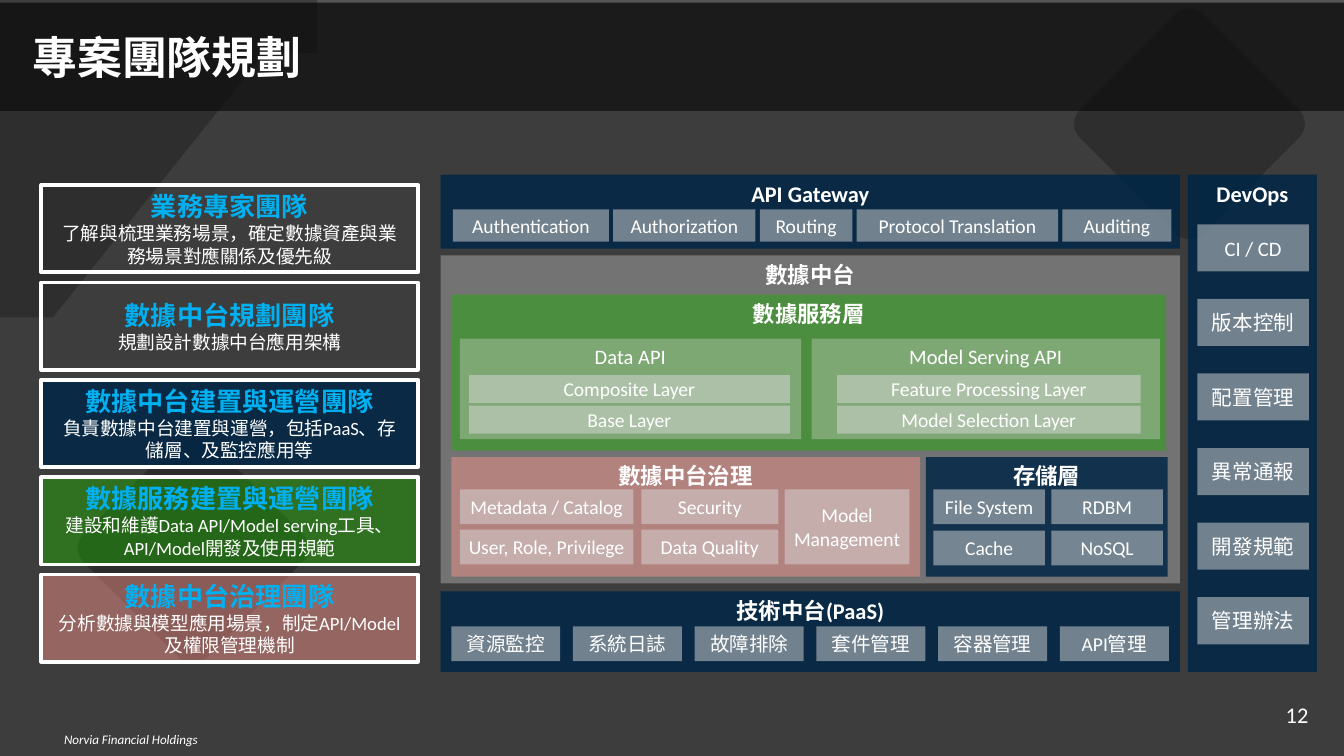
from dataclasses import dataclass

from lxml import etree
from pptx import Presentation, util as u
from pptx.dml.color import RGBColor
from pptx.enum import shapes, text
from pptx.oxml.ns import qn


@dataclass(frozen=True)
class Theme:
    """Colours, fill styles (colour, opacity in percent) and type sizes."""
    font: str = "Calibri"
    white: str = "FFFFFF"
    accent: str = "00B0F0"
    backdrop: tuple = ("0D0D0D", 80)
    band: tuple = ("0D0D0D", 70)
    diamond: tuple = ("0D0D0D", 30)
    low_diamond: tuple = ("0D0D0D", 34)
    navy: tuple = ("002646", 85)
    green: tuple = ("1EB001", 45)
    rose: tuple = ("FF968D", 45)
    grey: tuple = ("D9D9D9", 35)
    tile: tuple = ("D9D9D9", 50)
    title: float = 24
    team: float = 14
    heading: float = 12
    group: float = 11
    label: float = 10.5
    body: float = 10
    footer: float = 7


T = Theme()
TEAMS = [
    ("業務專家團隊", "了解與梳理業務場景，確定數據資產與業務場景對應關係及優先級", None),
    ("數據中台規劃團隊", "規劃設計數據中台應用架構", None),
    ("數據中台建置與運營團隊", "負責數據中台建置與運營，包括PaaS、存儲層、及監控應用等", T.navy),
    ("數據服務建置與運營團隊", "建設和維護Data API/Model serving工具、API/Model開發及使用規範", T.green),
    ("數據中台治理團隊", "分析數據與模型應用場景，制定API/Model及權限管理機制", T.rose),
]


def add_text(tf, content, size=T.label, bold=False, italic=False,
             color=T.white, align=text.PP_ALIGN.CENTER):
    """Write one paragraph, filling the first one if it is still empty."""
    p = tf.paragraphs[0] if not tf.text else tf.add_paragraph()
    p.alignment = align
    r = p.add_run()
    r.text = content
    r.font.name, r.font.size = T.font, u.Pt(size)
    r.font.bold, r.font.italic = bold, italic
    r.font.color.rgb = RGBColor.from_string(color)


def paint(sp, style):
    """Give a shape a flat translucent fill, or none, without line or shadow."""
    sp.shadow.inherit = False
    sp.line.fill.background()
    if style is None:
        sp.fill.background()
        return
    color, opacity = style
    sp.fill.solid()
    sp.fill.fore_color.rgb = RGBColor.from_string(color)
    clr = sp._element.spPr.find(qn("a:solidFill"))[0]
    etree.SubElement(clr, qn("a:alpha")).set("val", str(opacity * 1000))


def add_box(s, x, y, w, h, style, kind=shapes.MSO_SHAPE.RECTANGLE):
    """Add a painted shape with wrapped, vertically centred text."""
    sp = s.shapes.add_shape(kind, u.Cm(x), u.Cm(y), u.Cm(w), u.Cm(h))
    paint(sp, style)
    sp.text_frame.word_wrap = True
    sp.text_frame.vertical_anchor = text.MSO_ANCHOR.MIDDLE
    return sp


def add_panel(s, content, x, y, w, h, style, size=T.heading, bold=True):
    """Add a container whose heading sits at the top."""
    tf = add_box(s, x, y, w, h, style).text_frame
    tf.vertical_anchor = text.MSO_ANCHOR.TOP
    tf.margin_top = u.Cm(0.1)
    add_text(tf, content, size=size, bold=bold)


def add_tiles(s, rows, x, y, widths, h, gap_x=0, gap_y=0, size=T.label):
    """Lay out rows of labelled tiles with equal gaps."""
    for i, row in enumerate(rows):
        left = x
        for label, w in zip(row, widths):
            tf = add_box(s, left, y + i * (h + gap_y), w, h, T.tile).text_frame
            tf.margin_left = tf.margin_right = 0
            add_text(tf, label, size=size)
            left += w + gap_x


def add_diamond(s, x, y, style):
    """Add a rounded square standing on its corner."""
    sp = add_box(s, x, y, 3.3, 3.3, style, shapes.MSO_SHAPE.ROUNDED_RECTANGLE)
    sp.adjustments[0] = 0.11
    sp.rotation = 315


def curve(points, steps=10):
    """Return points along a cubic Bezier curve."""
    result = []
    for i in range(steps + 1):
        t = i / steps
        weights = ((1 - t) ** 3, 3 * t * (1 - t) ** 2, 3 * t * t * (1 - t), t ** 3)
        result.append(tuple(sum(k * p[axis] for k, p in zip(weights, points))
                            for axis in (0, 1)))
    return result


def add_corner(s):
    """Add the large rounded diamond cut off by the top left corner."""
    right = curve([(5.46, 0.25), (5.79, 0.58), (5.79, 1.12), (5.46, 1.45)])
    bottom = curve([(1.24, 5.66), (0.91, 5.99), (0.36, 5.99), (0.03, 5.66)])
    outline = [(5.21, 0), *right, *bottom, (0, 5.64)]
    builder = s.shapes.build_freeform(0, 0, scale=u.Cm(1))
    builder.add_line_segments(outline, close=True)
    paint(builder.convert_to_shape(), T.diamond)


def add_note(s, content, x, y, w, h, **style):
    """Add a small text box."""
    tf = s.shapes.add_textbox(u.Cm(x), u.Cm(y), u.Cm(w), u.Cm(h)).text_frame
    tf.word_wrap = True
    tf.vertical_anchor = text.MSO_ANCHOR.MIDDLE
    add_text(tf, content, **style)


def add_title(s, content):
    """Move the title placeholder to the header band, in front of it."""
    sp = s.shapes.title
    sp.left, sp.top, sp.width, sp.height = map(u.Cm, (0.36, 0.53, 24.69, 1.09))
    tf = sp.text_frame
    tf.auto_size = text.MSO_AUTO_SIZE.NONE
    tf.vertical_anchor = text.MSO_ANCHOR.MIDDLE
    add_text(tf, content, size=T.title, bold=True, align=text.PP_ALIGN.LEFT)
    s.shapes._spTree.append(sp._element)


def add_backdrop(s):
    """Draw the dark background, header band and diamonds."""
    add_box(s, 0, 0.05, 25.4, 14.24, T.backdrop)
    add_corner(s)
    add_box(s, 0, 0, 25.4, 2.1, T.band)
    add_diamond(s, 2, 8.71, T.low_diamond)
    add_diamond(s, 20.83, 0.69, T.diamond)


def add_teams(s):
    """Stack the team cards at an even pitch."""
    for i, (name, duty, style) in enumerate(TEAMS):
        sp = add_box(s, 0.78, 3.5 + 1.84 * i, 7.12, 1.65, style)
        sp.line.color.rgb = RGBColor.from_string(T.white)
        sp.line.width = u.Pt(2)
        add_text(sp.text_frame, name, size=T.team, bold=True, color=T.accent)
        add_text(sp.text_frame, duty, size=T.body)


def add_architecture(s):
    """Draw the gateway, data platform, PaaS and DevOps blocks."""
    add_panel(s, "API Gateway", 8.33, 3.3, 13.97, 1.4, T.navy)
    add_tiles(s, [["Authentication", "Authorization", "Routing",
                   "Protocol Translation", "Auditing"]],
              8.56, 3.96, [2.95, 2.69, 1.75, 3.81, 2.06], 0.61, gap_x=0.08)

    add_panel(s, "數據中台", 8.33, 4.83, 13.97, 6.2, T.grey)
    add_panel(s, "數據服務層", 8.53, 5.57, 13.51, 2.95, T.green)
    add_panel(s, "Data API", 8.69, 6.4, 6.45, 1.9, T.grey, T.group, False)
    add_tiles(s, [["Composite Layer"], ["Base Layer"]],
              8.86, 7.09, [6.07], 0.53, gap_y=0.05)
    add_panel(s, "Model Serving API", 15.34, 6.4, 6.58, 1.9, T.grey, T.group, False)
    add_tiles(s, [["Feature Processing Layer"], ["Model Selection Layer"]],
              15.82, 7.09, [5.74], 0.53, gap_y=0.05)

    add_panel(s, "數據中台治理", 8.53, 8.64, 8.86, 2.26, T.rose)
    add_tiles(s, [["Metadata / Catalog", "Security"],
                  ["User, Role, Privilege", "Data Quality"]],
              8.69, 9.25, [3.28, 2.59], 0.66, gap_x=0.15, gap_y=0.1)
    add_tiles(s, [["Model Management"]], 14.83, 9.25, [2.36], 1.42)
    add_panel(s, "存儲層", 17.5, 8.64, 4.57, 2.26, T.navy)
    add_tiles(s, [["File System", "RDBM"], ["Cache", "NoSQL"]],
              17.64, 9.25, [2.11, 2.11], 0.66, gap_x=0.12, gap_y=0.12)

    add_panel(s, "技術中台(PaaS)", 8.33, 11.18, 13.97, 1.52, T.navy)
    add_tiles(s, [["資源監控", "系統日誌", "故障排除", "套件管理", "容器管理", "API管理"]],
              8.53, 11.84, [2.06] * 6, 0.66, gap_x=0.24)

    add_panel(s, "DevOps", 22.45, 3.3, 2.44, 9.4, T.navy)
    add_tiles(s, [["CI / CD"], ["版本控制"], ["配置管理"],
                  ["異常通報"], ["開發規範"], ["管理辦法"]],
              22.63, 4.24, [2.11], 0.89, gap_y=0.52, size=T.group)


def main():
    """Build the team planning slide."""
    prs = Presentation()
    prs.slide_width, prs.slide_height = u.Cm(25.4), u.Cm(14.29)
    s = prs.slides.add_slide(prs.slide_layouts[5])
    add_backdrop(s)
    add_title(s, "專案團隊規劃")
    add_teams(s)
    add_architecture(s)
    add_note(s, "Norvia Financial Holdings", 0.15, 13.69, 4.65, 0.56,
             size=T.footer, italic=True)
    add_note(s, "12", 24.05, 13.11, 1.35, 0.79,
             size=T.heading, align=text.PP_ALIGN.LEFT)
    prs.save("out.pptx")


if __name__ == "__main__":
    main()
